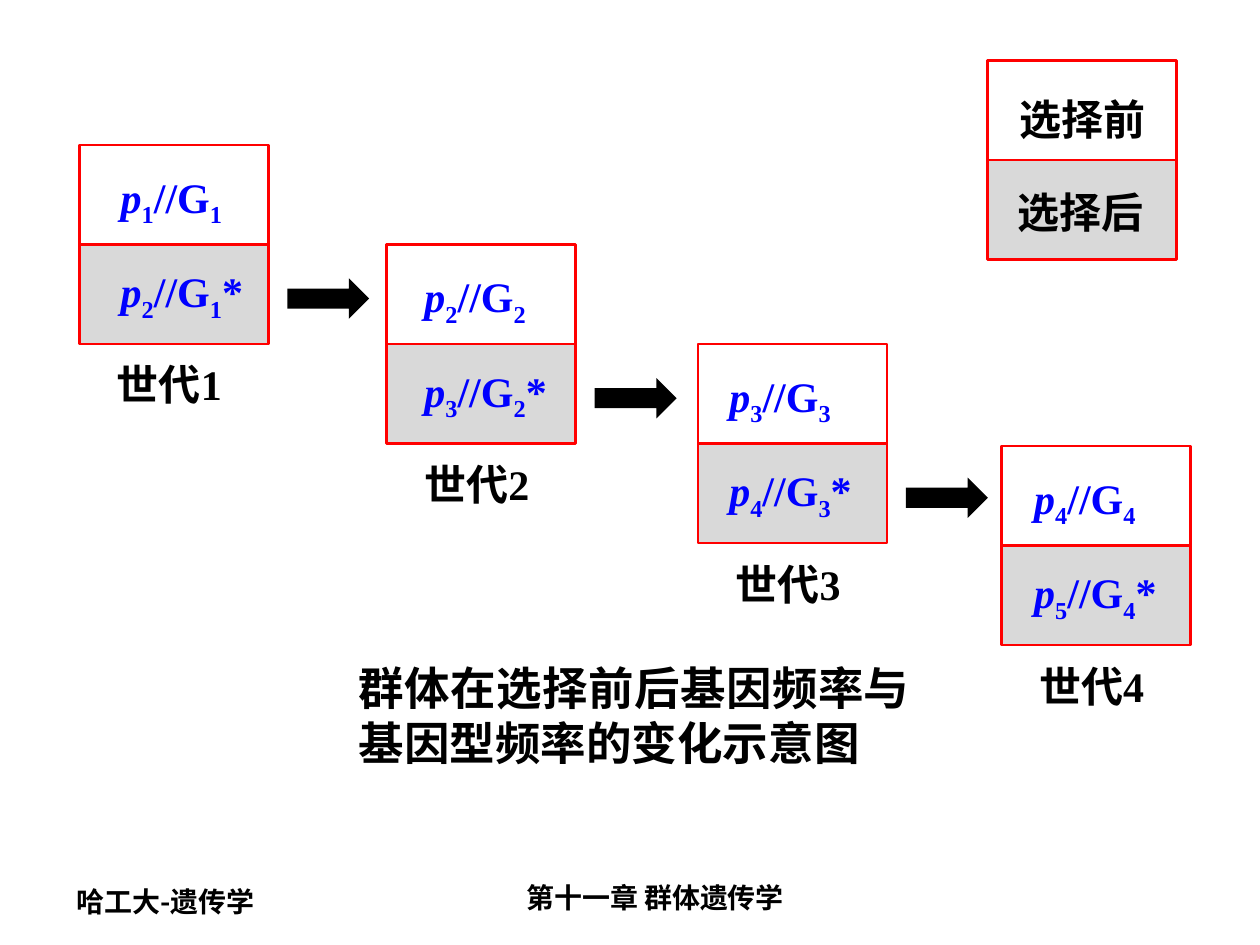
from pptx import Presentation
from pptx.dml.color import RGBColor
from pptx.enum.shapes import MSO_SHAPE
from pptx.enum.text import MSO_AUTO_SIZE, PP_ALIGN
from pptx.util import Inches, Pt

RECTANGLE, ARROW = MSO_SHAPE.RECTANGLE, MSO_SHAPE.RIGHT_ARROW
LEFT, CENTER, JUSTIFY = PP_ALIGN.LEFT, PP_ALIGN.CENTER, PP_ALIGN.JUSTIFY
NO_AUTO_SIZE = MSO_AUTO_SIZE.NONE

THEME = {
    "ink": "000000", "formula": "0000FF", "border": "FF0000",
    "before": "FFFFFF", "after": "D9D9D9",
    "serif": "Times New Roman", "sans": "Arial", "chinese": "Noto Sans CJK SC",
    "footer": 16, "body": 24, "caption": 26,
}

# left and top of each generation's stack, left of its formulas
GENERATIONS = [(0.63, 1.15, 0.86), (3.07, 1.94, 3.27),
               (5.54, 2.73, 5.69), (7.95, 3.54, 8.11)]
LEGEND_LEFT, LEGEND_TOP = 7.84, 0.48
LEGEND = [("选择前", 7.99, 0.69), ("选择后", 7.98, 1.43)]
CAPTION = "群体在选择前后基因频率与基因型频率的变化示意图"
COURSE = "哈工大-遗传学"
CHAPTER = "第十一章 群体遗传学"

CELL_WIDTH, CELL_HEIGHT = 1.5, 0.79
ARROW_WIDTH, ARROW_HEIGHT = 0.65, 0.32


def add_text(slide, spans, at, size="body", font="sans", color="ink", align=LEFT):
    """Add a text box; spans is a string or a list of (text, style) pairs."""
    box = slide.shapes.add_textbox(*map(Inches, at))
    frame = box.text_frame
    frame.word_wrap = True
    frame.auto_size = NO_AUTO_SIZE
    para = frame.paragraphs[0]
    para.alignment = align
    for text, style in [(spans, "")] if isinstance(spans, str) else spans:
        span = para.add_run()
        span.text = text
        span.font.size = Pt(THEME[size])
        span.font.bold = True
        span.font.italic = style == "italic"
        span.font.name = THEME[font]
        span.font.color.rgb = RGBColor.from_string(THEME[color])
        if style == "sub":
            span.font._element.set("baseline", "-25000")


def add_block(slide, kind, at, fill, border=None):
    block = slide.shapes.add_shape(kind, *map(Inches, at))
    block.shadow.inherit = False
    block.fill.solid()
    block.fill.fore_color.rgb = RGBColor.from_string(THEME[fill])
    if border:
        block.line.color.rgb = RGBColor.from_string(THEME[border])
        block.line.width = Pt(1.5)
    else:
        block.line.fill.background()


def add_stack(slide, left, top):
    for row, fill in enumerate(("before", "after")):
        at = (left, top + row * CELL_HEIGHT, CELL_WIDTH, CELL_HEIGHT)
        add_block(slide, RECTANGLE, at, fill, "border")


def frequency_spans(allele, genotype, mark=""):
    spans = [("p", "italic"), (str(allele), "sub"),
             ("//G", ""), (str(genotype), "sub")]
    return spans + [(mark, "")] if mark else spans


def add_generation(slide, number, left, top, formula_left):
    add_stack(slide, left, top)
    formula = {"font": "serif", "color": "formula"}
    add_text(slide, frequency_spans(number, number),
             (formula_left, top + 0.16, 1.15, 0.56), **formula)
    add_text(slide, frequency_spans(number + 1, number, "*"),
             (formula_left, top + 0.91, 1.34, 0.56), **formula)
    add_text(slide, f"世代{number}", (left + 0.2, top + 1.65, 1.24, 0.5), font="serif")
    if number < len(GENERATIONS):
        at = (left + CELL_WIDTH + 0.15, top + 1.06, ARROW_WIDTH, ARROW_HEIGHT)
        add_block(slide, ARROW, at, "ink")


def main():
    deck = Presentation()
    deck.slide_width, deck.slide_height = Inches(10), Inches(7.5)
    slide = deck.slides.add_slide(deck.slide_layouts[6])

    add_text(slide, COURSE, (0.51, 6.97, 2.33, 0.39), size="footer", font="chinese")
    add_text(slide, CHAPTER, (3.35, 6.94, 3.7, 0.39), size="footer", align=CENTER)
    for number, place in enumerate(GENERATIONS, 1):
        add_generation(slide, number, *place)
    add_text(slide, CAPTION, (2.75, 5.19, 4.57, 0.97), size="caption", align=JUSTIFY)
    add_stack(slide, LEGEND_LEFT, LEGEND_TOP)
    for text, left, top in LEGEND:
        add_text(slide, text, (left, top, 1.38, 0.5))

    deck.save("out.pptx")


if __name__ == "__main__":
    main()
